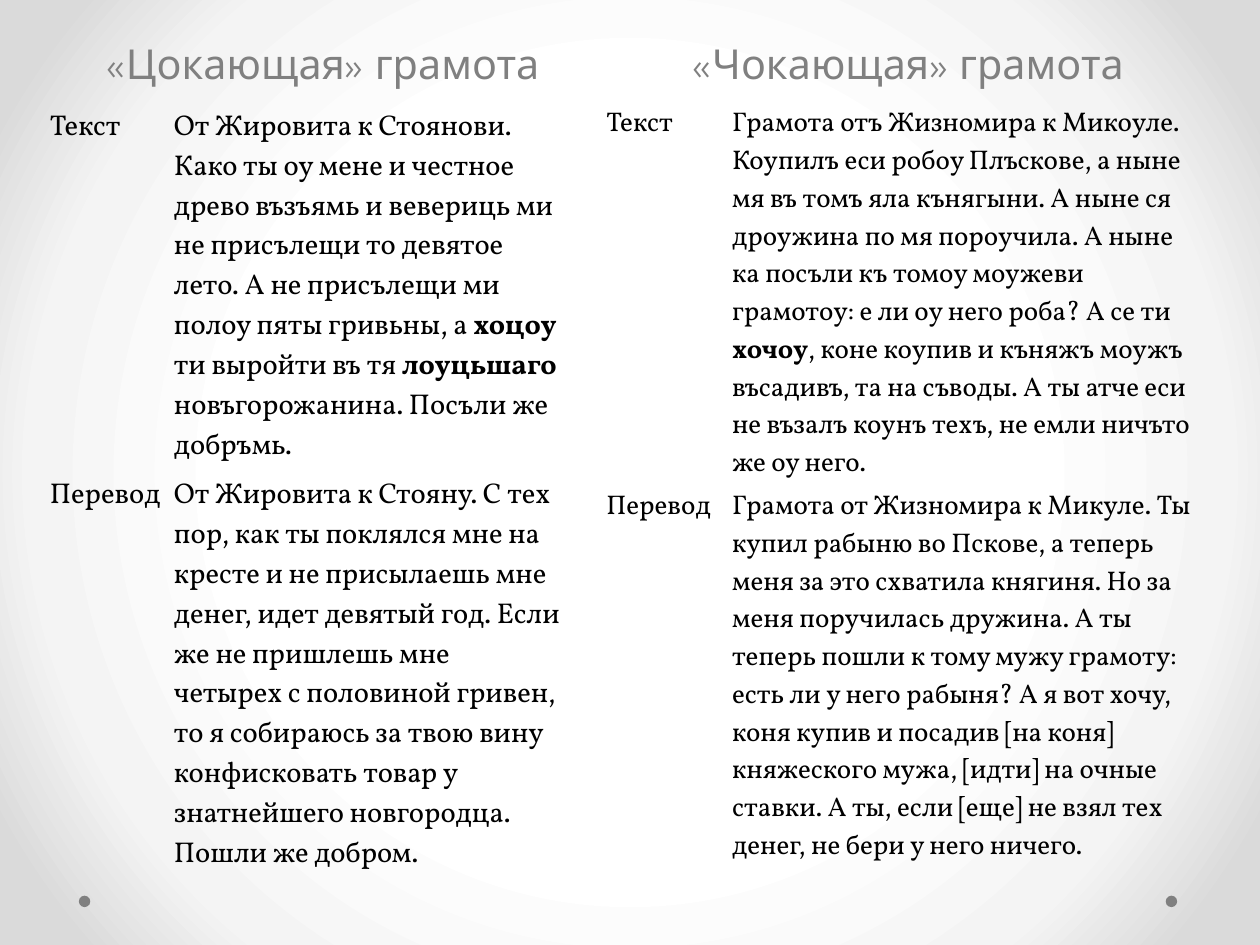
from lxml import etree
from pptx import Presentation
from pptx.dml import color as col
from pptx.enum import shapes as shp, text as txt
from pptx.oxml import ns
from pptx.util import Pt

GREY, BLACK = "808080", "000000"
GLOW = [(50, "FFFFFF"), (76, "F4F4F4"), (92, "DADADA")]
NO_GRID = "{2D5ABB26-0587-4C30-8999-92F81FD0307C}"

# Words between asterisks are bold
LEFT = [
    ("Текст",
     "От Жировита к Стоянови. Како ты оу мене и честное древо възъямь и "
     "вевериць ми не присълещи то девятое лето. А не присълещи ми полоу пяты "
     "гривьны, а *хоцоу *ти выройти въ тя *лоуцьшаго *новъгорожанина. "
     "Посъли же добръмь."),
    ("Перевод",
     "От Жировита к Стояну. С тех пор, как ты поклялся мне на кресте и не "
     "присылаешь мне денег, идет девятый год. Если же не пришлешь мне четырех "
     "с половиной гривен, то я собираюсь за твою вину конфисковать товар у "
     "знатнейшего новгородца. Пошли же добром."),
]
RIGHT = [
    ("Текст",
     "Грамота отъ Жизномира к Микоуле. Коупилъ еси робоу Плъскове, а ныне мя "
     "въ томъ яла кънягыни. А ныне ся дроужина по мя пороучила. А ныне ка "
     "посъли къ томоу моужеви грамотоу: е ли оу него роба? А се ти *хочоу*, "
     "коне коупив и къняжъ моужъ въсадивъ, та на съводы. А ты атче еси не "
     "възалъ коунъ техъ, не емли ничъто же оу него."),
    ("Перевод",
     "Грамота от Жизномира к Микуле. Ты купил рабыню во Пскове, а теперь меня "
     "за это схватила княгиня. Но за меня поручилась дружина. А ты теперь "
     "пошли к тому мужу грамоту: есть ли у него рабыня? А я вот хочу, коня "
     "купив и посадив [на коня] княжеского мужа, [идти] на очные ставки. А ты, "
     "если [еще] не взял тех денег, не бери у него ничего."),
]


def rgb(code):
    return col.RGBColor.from_string(code)


def style(run, face, size, code, bold=False):
    font = run.font
    font.name, font.size, font.bold = face, Pt(size), bold
    font.color.rgb = rgb(code)


def place(shape, x, y, w, h):
    shape.left, shape.top, shape.width, shape.height = map(Pt, (x, y, w, h))


def backdrop(slide):
    fill = slide.background.fill
    fill.gradient()
    grad = slide.element.find(".//" + ns.qn("a:gradFill"))
    for part in list(grad):
        grad.remove(part)
    stops = etree.SubElement(grad, ns.qn("a:gsLst"))
    for pos, code in GLOW:
        stop = etree.SubElement(stops, ns.qn("a:gs"), pos=str(pos * 1000))
        etree.SubElement(stop, ns.qn("a:srgbClr"), val=code)
    route = etree.SubElement(grad, ns.qn("a:path"), path="circle")
    etree.SubElement(route, ns.qn("a:fillToRect"),
                     {side: "50000" for side in "ltrb"})


def dot(slide, x):
    mark = slide.shapes.add_shape(shp.MSO_SHAPE.OVAL, Pt(x), Pt(564.2),
                                  Pt(7.2), Pt(7.2))
    mark.shadow.inherit = False
    mark.fill.solid()
    mark.fill.fore_color.rgb = rgb(GREY)
    mark.line.fill.background()


def heading(holder, words, x, y, h):
    place(holder, x, y, 350.64, h)
    frame = holder.text_frame
    frame.text = words
    frame.word_wrap = True
    frame.auto_size = txt.MSO_AUTO_SIZE.NONE
    frame.vertical_anchor = txt.MSO_ANCHOR.BOTTOM
    frame.margin_left = frame.margin_right = Pt(7.9)
    frame.margin_top = frame.margin_bottom = Pt(4.3)
    para = frame.paragraphs[0]
    para.alignment = txt.PP_ALIGN.CENTER
    para.space_before = Pt(0)
    style(para.runs[0], "League Spartan", 26, GREY)


def fill_cell(cell, words, size, pad):
    cell.fill.background()
    cell.margin_left = cell.margin_right = Pt(pad)
    cell.margin_top = cell.margin_bottom = Pt(pad)
    para = cell.text_frame.paragraphs[0]
    for i, piece in enumerate(words.split("*")):
        run = para.add_run()
        run.text = piece
        style(run, "Vollkorn", size, BLACK, bold=i % 2 == 1)


def letter(slide, rows, x, widths, heights, size, pad):
    frame = slide.shapes.add_table(len(rows), 2, Pt(x), Pt(65.1),
                                   Pt(sum(widths)), Pt(sum(heights)))
    table = frame.table
    table.first_row = table.horz_banding = False
    table._tbl.tblPr.find(ns.qn("a:tableStyleId")).text = NO_GRID
    for column, wide in zip(table.columns, widths):
        column.width = Pt(wide)
    for r, pair in enumerate(rows):
        table.rows[r].height = Pt(heights[r])
        for c, words in enumerate(pair):
            fill_cell(table.cell(r, c), words, size, pad)


def main():
    deck = Presentation()
    deck.slide_width, deck.slide_height = Pt(793.75), Pt(595.25)
    slide = deck.slides.add_slide(deck.slide_layouts[4])

    # Background and corner dots
    backdrop(slide)
    for x in (49.7, 734.4):
        dot(slide, x)

    # Headings; the other placeholders go
    slots = {p.placeholder_format.idx: p for p in slide.placeholders}
    heading(slots.pop(1), "«Цокающая» грамота", 28.2, 19.7, 39.6)
    heading(slots.pop(3), "«Чокающая» грамота", 396.9, 25.5, 33.8)
    for spare in slots.values():
        spare.element.getparent().remove(spare.element)

    # Letters with translations
    letter(slide, RIGHT, 380.3, (79.2, 293.8), (215.3, 260.6), 17, 1.7)
    letter(slide, LEFT, 28.4, (78.1, 250.6), (223.2, 236.9), 18, 3.1)

    deck.save("out.pptx")


if __name__ == "__main__":
    main()
